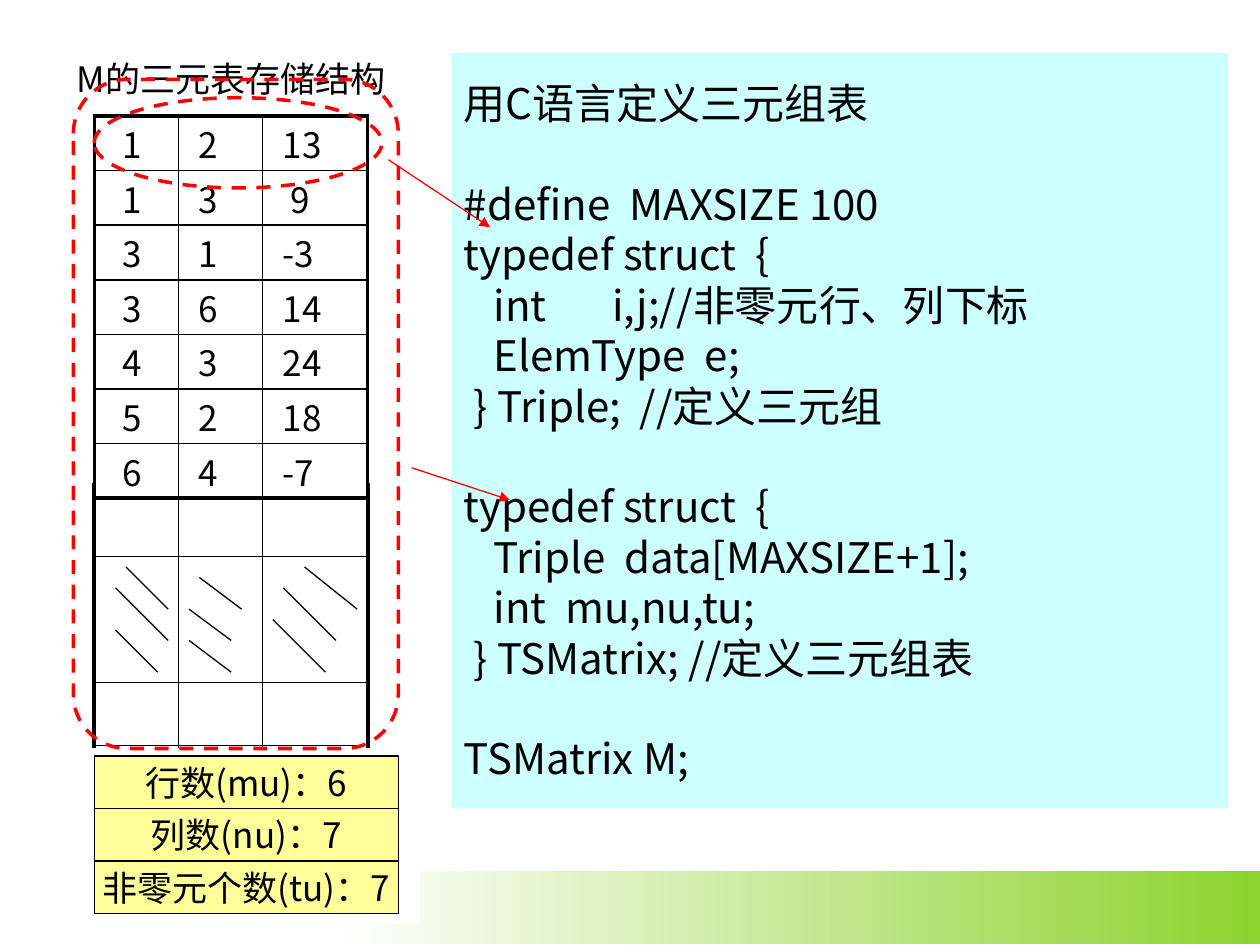
from lxml import etree
from pptx import Presentation
from pptx.dml.color import RGBColor
from pptx.enum.dml import MSO_LINE
from pptx.enum.shapes import MSO_CONNECTOR, MSO_SHAPE
from pptx.enum.text import MSO_ANCHOR, PP_ALIGN
from pptx.oxml.ns import qn
from pptx.util import Cm, Pt

RECT, ROUNDED, OVAL = MSO_SHAPE.RECTANGLE, MSO_SHAPE.ROUNDED_RECTANGLE, MSO_SHAPE.OVAL
STRAIGHT, DASH = MSO_CONNECTOR.STRAIGHT, MSO_LINE.DASH
MIDDLE, LEFT, CENTER = MSO_ANCHOR.MIDDLE, PP_ALIGN.LEFT, PP_ALIGN.CENTER

COLORS = {"ink": "000000", "paper": "FFFFFF", "green": "8CD32D",
          "yellow": "FFFF99", "cyan": "CCFFFF", "red": "FF0000"}
FONT = "Noto Sans CJK SC"
COLUMNS = [1.9, 3.6, 5.29, 7.41]
TABLE_TOP, ROW = 2.34, 1.1
TRIPLES = [(1, 2, 13), (1, 3, 9), (3, 1, -3), (3, 6, 14), (4, 3, 24), (5, 2, 18), (6, 4, -7)]
COUNTS = ["行数(mu)：6", "列数(nu)：7", "非零元个数(tu)：7"]
HATCHES = [
    (2.54, 11.43, 3.39, 12.28), (2.33, 11.85, 3.39, 12.91), (2.33, 12.7, 3.18, 13.55),
    (4.02, 11.64, 4.87, 12.28), (3.81, 12.28, 4.66, 12.91), (3.81, 12.91, 4.66, 13.55),
    (6.14, 11.43, 7.2, 12.28), (5.71, 11.85, 6.77, 12.91), (5.5, 12.49, 6.56, 13.55),
]
CODE = [
    (0, 0, "用C语言定义三元组表"),
    (1, 0, "#define  MAXSIZE 100"),
    (0, 0, "typedef struct  {"),
    (0, 3, "int       i,j;//非零元行、列下标"),
    (0, 3, "ElemType  e;"),
    (0, 1, "} Triple;  //定义三元组"),
    (1, 0, "typedef struct  {"),
    (0, 3, "Triple  data[MAXSIZE+1];"),
    (0, 3, "int  mu,nu,tu;"),
    (0, 1, "} TSMatrix; //定义三元组表"),
    (1, 0, "TSMatrix M;"),
]


class Deck:
    """Holds the style and the current slide, with a method for each kind of element."""

    def __init__(self, slide, font, colors):
        self.slide, self.font, self.colors = slide, font, colors

    def rgb(self, name):
        return RGBColor.from_string(self.colors[name])

    def format(self, p, size, align):
        p.alignment = align
        for r in p.runs:
            r.font.size, r.font.name = Pt(size), self.font
            r.font.color.rgb = self.rgb("ink")
            etree.SubElement(r._r.get_or_add_rPr(), qn("a:ea"), typeface=self.font)

    def shape(self, kind, x, y, w, h, fill=None, line=None, width=0.75, dash=None):
        sp = self.slide.shapes.add_shape(kind, Cm(x), Cm(y), Cm(w), Cm(h))
        sp.shadow.inherit = False
        if fill:
            sp.fill.solid()
            sp.fill.fore_color.rgb = self.rgb(fill)
        else:
            sp.fill.background()
        if line:
            sp.line.color.rgb, sp.line.width = self.rgb(line), Pt(width)
            sp.line.dash_style = dash
        else:
            sp.line.fill.background()
        return sp

    def band(self, x, y, w, h, start, end):
        sp = self.shape(RECT, x, y, w, h, start)
        sp.fill.gradient()
        sp.fill.gradient_angle = 0
        for stop, name, position in zip(sp.fill.gradient_stops, (start, end), (0, 1)):
            stop.color.rgb, stop.position = self.rgb(name), position

    def label(self, text, x, y, w, h, fill, line):
        tf = self.shape(RECT, x, y, w, h, fill, line).text_frame
        tf.text, tf.word_wrap, tf.vertical_anchor = text, False, MIDDLE
        self.format(tf.paragraphs[0], 20, CENTER)

    def code(self, lines, x, y, w, h, size=24, pitch=28.8):
        tf = self.shape(RECT, x, y, w, h, "cyan").text_frame
        tf.word_wrap, tf.vertical_anchor = False, MIDDLE
        tf.text = "\n".join(text for _, _, text in lines)
        for p, (gap, indent, _) in zip(tf.paragraphs, lines):
            self.format(p, size, LEFT)
            p.line_spacing, p.space_before = Pt(pitch), Pt(gap * pitch)
            p._p.get_or_add_pPr().set("marL", str(Cm(0.2 * indent)))

    def line(self, x1, y1, x2, y2, color="ink", width=0.75, arrow=False):
        c = self.slide.shapes.add_connector(STRAIGHT, Cm(x1), Cm(y1), Cm(x2), Cm(y2))
        c.line.color.rgb, c.line.width = self.rgb(color), Pt(width)
        if arrow:
            etree.SubElement(c.line._get_or_add_ln(), qn("a:tailEnd"), type="triangle")
        etree.SubElement(c._element.spPr, qn("a:effectLst"))

    def border(self, cell, side, width):
        ln = etree.SubElement(cell._tc.get_or_add_tcPr(), qn(f"a:{side}"), w=str(Pt(width)))
        fill = etree.SubElement(ln, qn("a:solidFill"))
        etree.SubElement(fill, qn("a:srgbClr"), val=self.colors["ink"])

    def table(self, rows, edges, y, row_height):
        n, m = len(rows), len(edges) - 1
        frame = self.slide.shapes.add_table(n, m, Cm(edges[0]), Cm(y),
                                            Cm(edges[-1] - edges[0]), Cm(n * row_height))
        table = frame.table
        table.first_row = table.horz_banding = False
        for j in range(m):
            table.columns[j].width = Cm(edges[j + 1] - edges[j])
        for i, values in enumerate(rows):
            table.rows[i].height = Cm(row_height)
            for j, value in enumerate(values):
                cell = table.cell(i, j)
                cell.text, cell.vertical_anchor = str(value), MIDDLE
                cell.margin_top = cell.margin_bottom = cell.margin_right = 0
                cell.margin_left = Cm(0.57 if j == 0 or value == 9 else 0.41)
                self.format(cell.text_frame.paragraphs[0], 20, LEFT)
                outer = {"lnL": j == 0, "lnR": j == m - 1, "lnT": i == 0, "lnB": i == n - 1}
                for side, thick in outer.items():
                    self.border(cell, side, 2.25 if thick else 1)
                cell.fill.background()


def main():
    prs = Presentation()
    prs.slide_width, prs.slide_height = Cm(25.4), Cm(19.05)
    s = Deck(prs.slides.add_slide(prs.slide_layouts[6]), FONT, COLORS)

    s.band(6.77, 17.55, 18.63, 1.48, "paper", "green")
    s.shape(RECT, 1.27, 1.06, 7.2, 17.57, "paper")
    for x in COLUMNS:
        s.line(x, 9.74, x, 15.08, width=2.25 if x in (COLUMNS[0], COLUMNS[-1]) else 1)
    for y in (11.22, 13.76, 15.03):
        s.line(COLUMNS[0], y, COLUMNS[-1], y)
    for i, text in enumerate(COUNTS):
        s.label(text, COLUMNS[0], 15.24 + 1.06 * i, 6.13, 1.06, "yellow", "ink")
    for ends in HATCHES:
        s.line(*ends)
    s.label("M的三元表存储结构", 1.7, 1.27, 5.92, 0.64, "paper", "paper")
    s.code(CODE, 9.1, 1.06, 15.66, 15.24)
    s.table(TRIPLES, COLUMNS, TABLE_TOP, ROW)

    s.shape(OVAL, 1.9, 1.97, 5.8, 1.82, line="red", width=2, dash=DASH)
    s.line(7.83, 3.22, 9.88, 4.58, "red", arrow=True)
    s.shape(ROUNDED, 1.48, 1.6, 6.55, 13.49, line="red", width=2, dash=DASH)
    s.line(8.3, 9.43, 10.28, 10.08, "red", arrow=True)
    prs.save("out.pptx")


if __name__ == "__main__":
    main()
